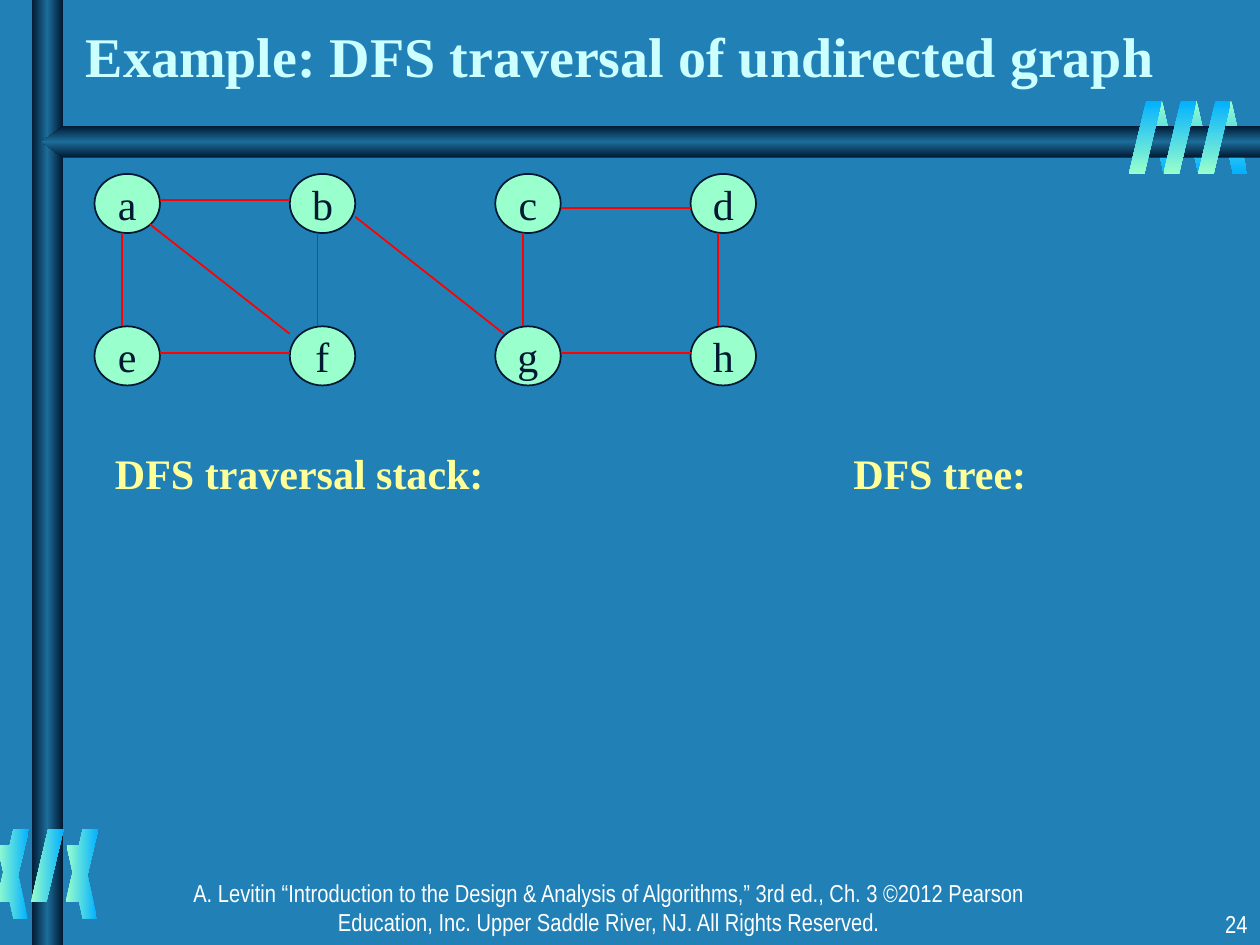
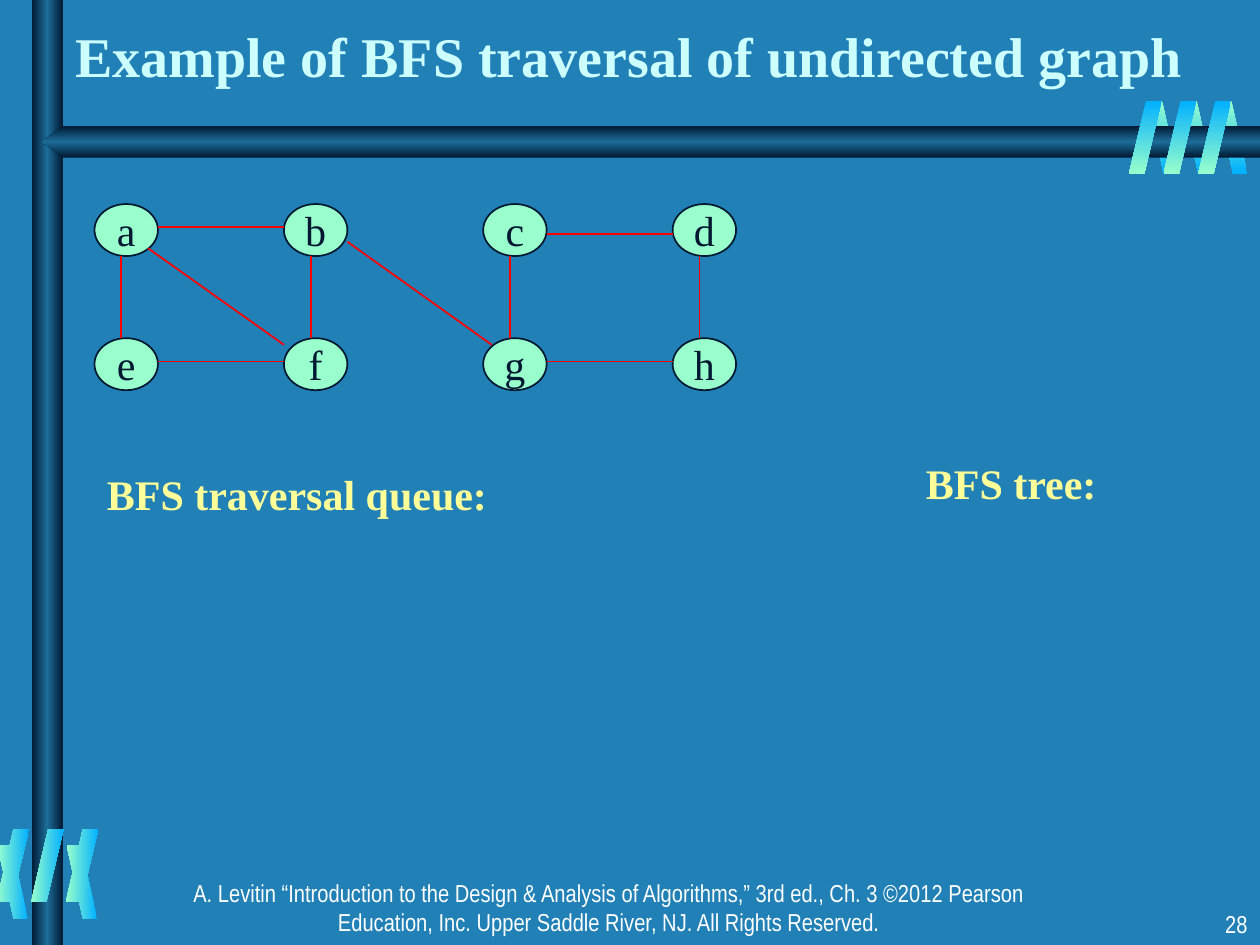
from lxml import etree
from pptx import Presentation, util as u
from pptx.dml.color import RGBColor
from pptx.enum import shapes as s, text as t
from pptx.oxml import parse_xml
from pptx.oxml.ns import nsdecls, qn

INK = {"back": "2181B7", "dark": "001932", "mid": "1C6D9A", "mint": "99FFCC",
       "sky": "01B0FF", "title": "CCFFFF", "label": "FFFF99", "edge": "FF0000",
       "foot": "FFFFFF"}
SERIF, NARROW = "Times New Roman", "Arial Narrow"
STYLE = {
    "title": ({"name": SERIF, "size": u.Pt(32), "bold": True}, "title"),
    "label": ({"name": SERIF, "size": u.Pt(24), "bold": True}, "label"),
    "node": ({"name": SERIF, "size": u.Pt(24), "bold": False}, "dark"),
    "foot": ({"name": NARROW, "size": u.Pt(14), "bold": False}, "foot"),
}
LEFT, MID, RIGHT = t.PP_ALIGN.LEFT, t.PP_ALIGN.CENTER, t.PP_ALIGN.RIGHT
TOP, CORE, BASE = (t.MSO_ANCHOR.TOP, t.MSO_ANCHOR.MIDDLE, t.MSO_ANCHOR.BOTTOM)
CREDIT = ("A. Levitin “Introduction to the Design & Analysis of Algorithms,” "
          "3rd ed., Ch. 3 ©2012 Pearson Education, Inc. Upper Saddle River, NJ. "
          "All Rights Reserved.")
BAR = ("dark", "mid", "dark")

# Graph at full scale: node size, node origins, and where edges meet a node
WIDE, HIGH, DROP = 37.4, 33.8, 87.1
COLS = (0, 111.6, 229, 340.6)
NODES = {name: (COLS[i % 4], DROP * (i // 4)) for i, name in enumerate("abcdefgh")}
EAST, WEST = (WIDE, 15.1), (0, 15.1)
SOUTH, NORTH = (15.8, HIGH), (15.8, 0)
EDGES = [(pair, EAST, WEST) for pair in ("ab", "ef", "gh")]
EDGES += [(pair, SOUTH, NORTH) for pair in ("ae", "bf", "cg", "dh")]
EDGES += [("cd", (WIDE, 19.4), (0, 19.4)),
          ("af", (31.7, 28.8), (0, 4.3)),
          ("bg", (WIDE, 24.5), (5, 4.3))]


def pts(*nums):
    return [u.Pt(n) for n in nums]


def rgb(key):
    return RGBColor.from_string(INK[key])


class Deck:
    def __init__(self):
        self.prs = Presentation()
        self.prs.slide_width, self.prs.slide_height = pts(720, 540)
        fill = self.prs.slide_master.background.fill
        fill.solid()
        fill.fore_color.rgb = rgb("back")
        self.slide = None

    def letter(self, frame, words, style, align, anchor, wrap=True):
        look = {"margin_left": u.Pt(7.2), "margin_right": u.Pt(7.2),
                "margin_top": u.Pt(3.6), "margin_bottom": u.Pt(3.6),
                "word_wrap": wrap, "vertical_anchor": anchor}
        for key, val in look.items():
            setattr(frame, key, val)
        para = frame.paragraphs[0]
        para.alignment = align
        run = para.add_run()
        run.text = words
        form, color = STYLE[style]
        for key, val in form.items():
            setattr(run.font, key, val)
        run.font.color.rgb = rgb(color)

    def text(self, words, box, style, align=LEFT, anchor=TOP):
        item = self.slide.shapes.add_textbox(*pts(*box))
        self.letter(item.text_frame, words, style, align, anchor)

    def blend(self, item, keys, angle):
        """Fill a borderless shape with evenly spaced gradient stops."""
        item.shadow.inherit = False
        item.line.fill.background()
        gaps = len(keys) - 1
        stops = "".join(f'<a:gs pos="{100000 * i // gaps}"><a:srgbClr val="{INK[key]}"/></a:gs>'
                        for i, key in enumerate(keys))
        grad = parse_xml(f'<a:gradFill {nsdecls("a")} rotWithShape="0"><a:gsLst>{stops}</a:gsLst>'
                         f'<a:lin ang="{angle * 60000}" scaled="0"/></a:gradFill>')
        item.fill.background()
        props = item.element.spPr
        props.replace(props.find(qn("a:noFill")), grad)

    def strips(self, left, top, wide, keys, angle, flip=False):
        for i in range(3):
            item = self.slide.shapes.add_shape(
                s.MSO_SHAPE.PARALLELOGRAM, *pts(left + 19.8 * i, top, wide, 41.8))
            item.adjustments[0] = 0.53
            self.blend(item, keys, angle)
            if flip:
                item.element.spPr.find(qn("a:xfrm")).set("flipH", "1")

    def bars(self):
        post = self.slide.shapes.add_shape(s.MSO_SHAPE.RECTANGLE, *pts(18, 0, 18, 540))
        self.blend(post, BAR, 0)
        form = self.slide.shapes.build_freeform(*pts(720, 72))
        form.add_line_segments([pts(*spot) for spot in
                                ((36, 72), (23.8, 81), (36, 90), (720, 90))])
        self.blend(form.convert_to_shape(), BAR, 90)

    def page(self, title, box, number):
        self.slide = self.prs.slides.add_slide(self.prs.slide_layouts[6])
        # Ribbons pass behind and in front of the bars
        self.strips(655.9, 57.6, 17.3, ("mint", "sky"), 90, True)
        self.strips(-1.4, 483.1, 17.3, ("sky", "mint"), 0, True)
        self.bars()
        self.strips(-2.1, 473.7, 18.7, ("mint", "sky"), 0)
        self.strips(645.1, 57.6, 18.7, ("sky", "mint"), 90)
        # Footer and title
        self.text(CREDIT, (96, 498, 504, 24), "foot", MID)
        self.text(str(number), (570, 516, 150, 24), "foot", RIGHT)
        self.text(title, box, "title", anchor=BASE)

    def node(self, name, box):
        item = self.slide.shapes.add_shape(s.MSO_SHAPE.OVAL, *pts(*box))
        item.shadow.inherit = False
        item.fill.solid()
        item.fill.fore_color.rgb = rgb("mint")
        item.line.color.rgb = rgb("dark")
        item.line.width = u.Pt(1)
        self.letter(item.text_frame, name, "node", MID, CORE, False)

    def edge(self, start, end):
        item = self.slide.shapes.add_connector(
            s.MSO_CONNECTOR.STRAIGHT, *pts(*start, *end))
        item.line.color.rgb = rgb("edge")
        item.line.width = u.Pt(1)
        etree.SubElement(item.element.spPr, qn("a:effectLst"))

    def graph(self, left, top, kx=1, ky=1):
        def place(name, spot=(0, 0)):
            x, y = NODES[name]
            return left + kx * (x + spot[0]), top + ky * (y + spot[1])

        for name in NODES:
            self.node(name, (*place(name), kx * WIDE, ky * HIGH))
        for (one, two), out, into in EDGES:
            self.edge(place(one, out), place(two, into))


def main():
    deck = Deck()

    # Depth-first search
    deck.page("Example: DFS traversal of undirected graph", (42, 9, 678, 45), 24)
    deck.graph(54, 99.4)
    deck.text("DFS traversal stack:", (54, 252, 234, 36), "label", MID)
    deck.text("DFS tree:", (420, 252, 234, 36), "label", MID)

    # Breadth-first search
    deck.page("Example of BFS traversal of undirected graph", (36, 0, 654, 54), 28)
    deck.text("BFS traversal queue:", (54, 264, 240, 42), "label")
    deck.graph(54, 116.6, 0.97, 0.88)
    deck.text("BFS tree:", (522, 258, 120, 42), "label")

    deck.prs.save("out.pptx")


if __name__ == "__main__":
    main()
